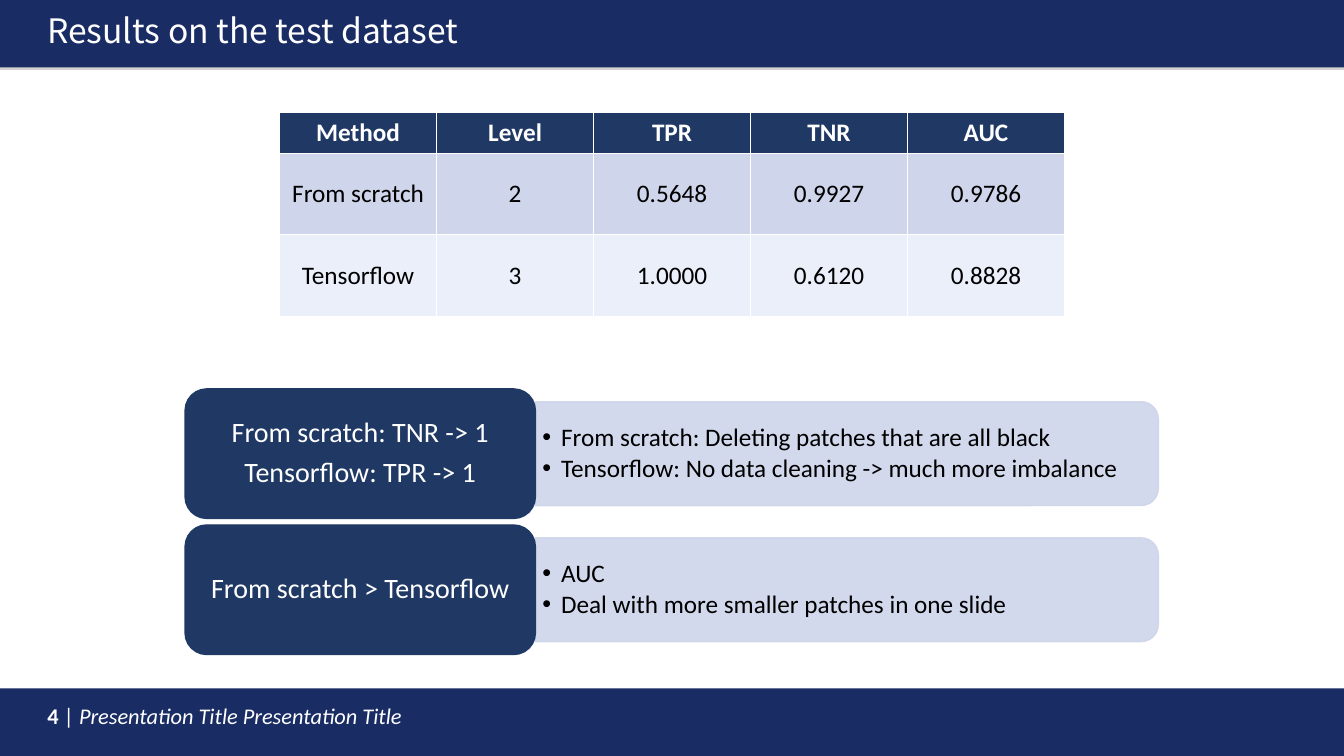
from lxml import etree
from pptx import Presentation
from pptx.dml.color import RGBColor
from pptx.enum import shapes, text
from pptx.oxml import ns
from pptx.util import Pt

TITLE = "Results on the test dataset"
FOOTER = [("4 ", True, False), ("| ", False, False),
          ("Presentation Title Presentation Title", False, True)]
RESULTS = [
    ("Method", "Level", "TPR", "TNR", "AUC"),
    ("From scratch", "2", "0.5648", "0.9927", "0.9786"),
    ("Tensorflow", "3", "1.0000", "0.6120", "0.8828"),
]
FINDINGS = [
    (["From scratch: TNR -> 1", "Tensorflow: TPR -> 1"],
     ["From scratch: Deleting patches that are all black",
      "Tensorflow: No data cleaning -> much more imbalance"]),
    (["From scratch > Tensorflow"],
     ["AUC", "Deal with more smaller patches in one slide"]),
]

WHITE = RGBColor(0xFF, 0xFF, 0xFF)
BLACK = RGBColor(0, 0, 0)
BAR = RGBColor(0x1A, 0x2C, 0x64)
NAVY = RGBColor(0x20, 0x38, 0x64)
LILAC = RGBColor(0xCF, 0xD5, 0xEA)
PALE = RGBColor(0xEA, 0xEF, 0xFA)
BODY_FONT, TITLE_FONT = "Calibri", "Noto Sans CJK KR"

WIDTH, HEIGHT, BAR_HEIGHT = 960, 540, 48.2
TABLE_LEFT, TABLE_TOP, COLUMN_WIDTH = 199.7, 80.2, 112.15
ROW_HEIGHTS = [29.2, 58.4, 58.4]
LABEL_LEFT, LABEL_TOP, LABEL_WIDTH, LABEL_HEIGHT = 132.2, 277.8, 250.2, 92.5
PANEL_WIDTH, PANEL_HEIGHT, FINDING_STEP = 445, 74.2, 97.2


def add_element(parent, tag, **attributes):
    return etree.SubElement(parent, ns.qn(tag), attributes)


def add_shape(kind, left, top, width, height, color):
    shape = slide.shapes.add_shape(kind, Pt(left), Pt(top), Pt(width), Pt(height))
    shape.shadow.inherit = False
    shape.fill.solid()
    shape.fill.fore_color.rgb = color
    return shape


def set_line(shape, color):
    shape.line.color.rgb = color
    shape.line.width = Pt(1)


def set_transparent(fill):
    add_element(fill.find(".//" + ns.qn("a:srgbClr")), "a:alpha", val="90000")


def format_run(run, size, color, font=BODY_FONT, bold=False, italic=False):
    run.font.size = Pt(size)
    run.font.name = font
    run.font.bold = bold
    run.font.italic = italic
    run.font.color.rgb = color
    if font == TITLE_FONT:
        add_element(run.font._element, "a:ea", typeface=font)


def fill_frame(frame, lines, size, color, space_after, margin):
    frame.word_wrap = True
    frame.vertical_anchor = text.MSO_ANCHOR.MIDDLE
    frame.margin_left = frame.margin_right = Pt(margin)
    frame.margin_top = frame.margin_bottom = Pt(3)
    frame.text = "\n".join(lines)
    for paragraph in frame.paragraphs:
        paragraph.line_spacing = 0.9
        paragraph.space_after = Pt(space_after)
        format_run(paragraph.runs[0], size, color)


def add_bar(top):
    bar = add_shape(shapes.MSO_SHAPE.RECTANGLE, 0, top, WIDTH, BAR_HEIGHT, BAR)
    bar.line.fill.background()
    effects = bar._element.spPr.find(ns.qn("a:effectLst"))
    shadow = add_element(effects, "a:outerShdw", blurRad="0", dist="22860",
                         dir="5400000", rotWithShape="0")
    color = add_element(shadow, "a:srgbClr", val="808080")
    add_element(color, "a:alpha", val="35000")


def add_bar_text(top, pieces, size, font):
    box = slide.shapes.add_textbox(Pt(26.7), Pt(top), Pt(712), Pt(31.7))
    frame = box.text_frame
    frame.word_wrap = True
    frame.auto_size = text.MSO_AUTO_SIZE.SHAPE_TO_FIT_TEXT
    paragraph = frame.paragraphs[0]
    paragraph.line_spacing = Pt(24)
    for wording, bold, italic in pieces:
        run = paragraph.add_run()
        run.text = wording
        format_run(run, size, WHITE, font, bold, italic)


def add_results():
    columns = len(RESULTS[0])
    table = slide.shapes.add_table(
        len(RESULTS), columns, Pt(TABLE_LEFT), Pt(TABLE_TOP),
        Pt(COLUMN_WIDTH * columns), Pt(sum(ROW_HEIGHTS))).table
    for column in table.columns:
        column.width = Pt(COLUMN_WIDTH)
    for row, height, values, color in zip(
            table.rows, ROW_HEIGHTS, RESULTS, (NAVY, LILAC, PALE)):
        row.height = Pt(height)
        header = color == NAVY
        for cell, value in zip(row.cells, values):
            cell.fill.solid()
            cell.fill.fore_color.rgb = color
            cell.vertical_anchor = text.MSO_ANCHOR.MIDDLE
            cell.text_frame.text = value
            paragraph = cell.text_frame.paragraphs[0]
            paragraph.alignment = text.PP_ALIGN.CENTER
            format_run(paragraph.runs[0], 18, WHITE if header else BLACK, bold=header)


def add_finding(top, labels, details):
    panel_left = LABEL_LEFT + LABEL_WIDTH
    middle = top + LABEL_HEIGHT / 2
    panel = add_shape(shapes.MSO_SHAPE.ROUND_2_SAME_RECTANGLE,
                      panel_left + (PANEL_WIDTH - PANEL_HEIGHT) / 2,
                      middle - PANEL_WIDTH / 2, PANEL_HEIGHT, PANEL_WIDTH, LILAC)
    panel.rotation = 90
    set_line(panel, LILAC)
    properties = panel._element.spPr
    set_transparent(properties.find(ns.qn("a:solidFill")))
    set_transparent(properties.find(ns.qn("a:ln")))

    box = slide.shapes.add_textbox(Pt(panel_left), Pt(middle - 33.5), Pt(441.4), Pt(67))
    for_bullets = box.text_frame
    fill_frame(for_bullets, details, 18, BLACK, 2.7, 5)
    for paragraph in for_bullets.paragraphs:
        settings = paragraph._p.get_or_add_pPr()
        settings.set("marL", str(Pt(13.5)))
        settings.set("indent", str(-Pt(13.5)))
        settings.set("lvl", "1")
        add_element(settings, "a:buFont", typeface="Arial")
        add_element(settings, "a:buChar", char="•")

    label = add_shape(shapes.MSO_SHAPE.ROUNDED_RECTANGLE, LABEL_LEFT, top,
                      LABEL_WIDTH, LABEL_HEIGHT, NAVY)
    set_line(label, NAVY)
    fill_frame(label.text_frame, labels, 20, WHITE, 7, 6)
    for paragraph in label.text_frame.paragraphs:
        paragraph.alignment = text.PP_ALIGN.CENTER


presentation = Presentation()
presentation.slide_width, presentation.slide_height = Pt(WIDTH), Pt(HEIGHT)
slide = presentation.slides.add_slide(presentation.slide_layouts[6])

add_bar(HEIGHT - BAR_HEIGHT)
add_bar_text(493.2, FOOTER, 16, BODY_FONT)
add_bar(0)
add_bar_text(8.6, [(TITLE, False, False)], 24, TITLE_FONT)
add_results()
for index, (labels, details) in enumerate(FINDINGS):
    add_finding(LABEL_TOP + index * FINDING_STEP, labels, details)

presentation.save("out.pptx")
